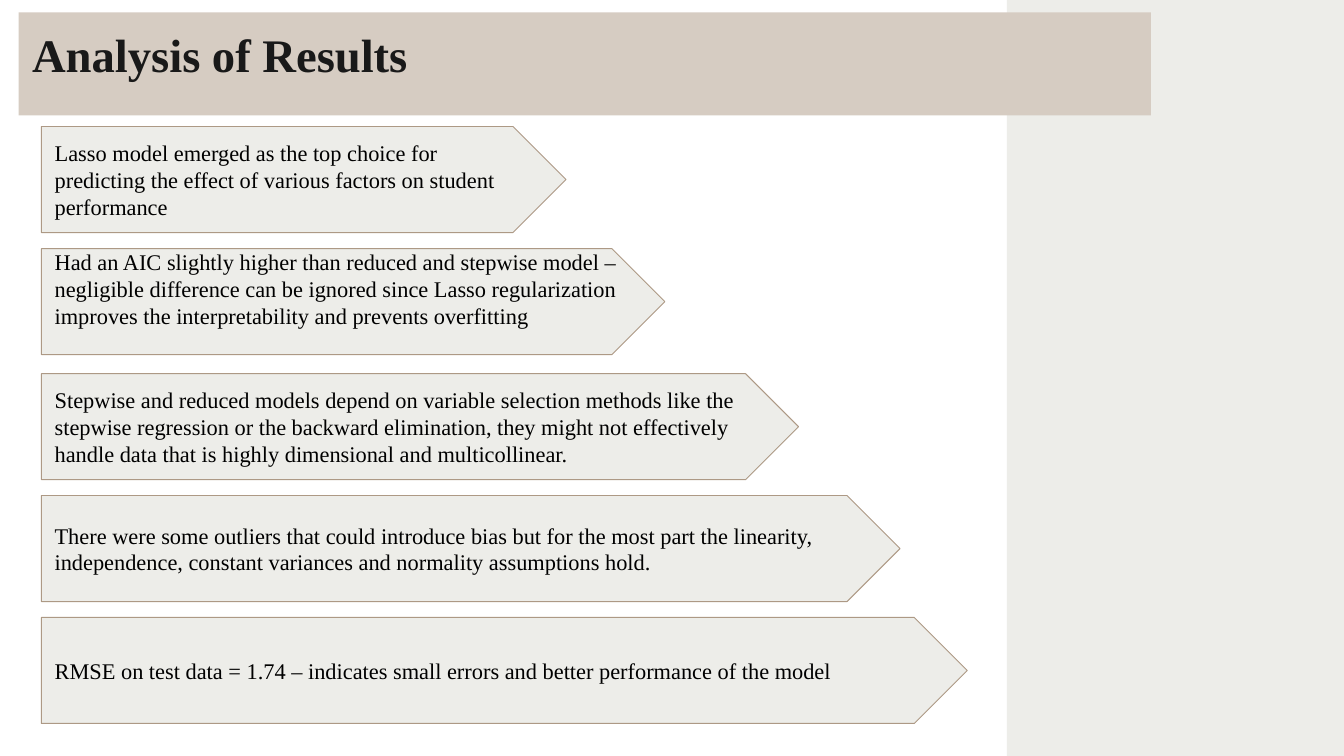
import pptx
import pptx.dml.color
import pptx.enum.shapes
import pptx.enum.text
import pptx.util

Pt = pptx.util.Pt
RGBColor = pptx.dml.color.RGBColor
MSO_SHAPE = pptx.enum.shapes.MSO_SHAPE
MSO_ANCHOR = pptx.enum.text.MSO_ANCHOR
PP_ALIGN = pptx.enum.text.PP_ALIGN

FONT = "Times New Roman"
SAGE = RGBColor(0xED, 0xED, 0xE9)
SAND = RGBColor(0xD6, 0xCC, 0xC2)
TAN = RGBColor(0xAD, 0x99, 0x85)
INK = RGBColor(0x19, 0x19, 0x19)
BLACK = RGBColor(0x00, 0x00, 0x00)

FINDINGS = [
    (0, 281, MSO_ANCHOR.MIDDLE,
     "Lasso model emerged as the top choice for predicting the effect of "
     "various factors on student performance"),
    (65.4, 334, MSO_ANCHOR.TOP,
     "Had an AIC slightly higher than reduced and stepwise model – negligible "
     "difference can be ignored since Lasso regularization improves the "
     "interpretability and prevents overfitting"),
    (132.4, 405.6, MSO_ANCHOR.MIDDLE,
     "Stepwise and reduced models depend on variable selection methods like "
     "the stepwise regression or the backward elimination, they might not "
     "effectively handle data that is highly dimensional and multicollinear."),
    (197.7, 460, MSO_ANCHOR.MIDDLE,
     "There were some outliers that could introduce bias but for the most part "
     "the linearity, independence, constant variances and normality "
     "assumptions hold."),
    (263, 496, MSO_ANCHOR.MIDDLE,
     "RMSE on test data = 1.74 – indicates small errors and better "
     "performance of the model"),
]


def add_run(p, text, size, color, bold=False):
    """Add a formatted run to a left-aligned paragraph."""
    p.alignment = PP_ALIGN.LEFT
    r = p.add_run()
    r.text = text
    r.font.name = FONT
    r.font.size = Pt(size)
    r.font.bold = bold
    r.font.color.rgb = color


def add_filled_shape(s, kind, left, top, width, height, fill):
    """Add a flat, borderless preset shape."""
    sp = s.shapes.add_shape(kind, Pt(left), Pt(top), Pt(width), Pt(height))
    sp.shadow.inherit = False
    sp.fill.solid()
    sp.fill.fore_color.rgb = fill
    sp.line.fill.background()
    return sp


def add_sidebar(s, left, top, width, height):
    """Place the side band behind the title."""
    sp = add_filled_shape(s, MSO_SHAPE.RECTANGLE, left, top, width, height, SAGE)
    s.shapes.title._element.addprevious(sp._element)


def add_title(s, left, top, width, height, text):
    """Place and format the title banner."""
    sp = s.shapes.title
    sp.left, sp.top, sp.width, sp.height = Pt(left), Pt(top), Pt(width), Pt(height)
    sp.fill.solid()
    sp.fill.fore_color.rgb = SAND
    tf = sp.text_frame
    tf.auto_size = pptx.enum.text.MSO_AUTO_SIZE.NONE
    tf.vertical_anchor = MSO_ANCHOR.TOP
    tf.margin_left = tf.margin_right = tf.margin_top = tf.margin_bottom = Pt(7.2)
    add_run(tf.paragraphs[0], text, 25, INK, bold=True)


def add_findings(s, left, top, arrow_height, findings):
    """Stack the finding arrows, each with its own offset and width."""
    for offset, width, anchor, text in findings:
        sp = add_filled_shape(s, MSO_SHAPE.PENTAGON, left, top + offset,
                              width, arrow_height, SAGE)
        sp.line.color.rgb = TAN
        sp.line.width = Pt(0.5)
        tf = sp.text_frame
        tf.word_wrap = True
        tf.vertical_anchor = anchor
        tf.margin_left = tf.margin_right = Pt(7.2)
        tf.margin_top = tf.margin_bottom = Pt(0)
        add_run(tf.paragraphs[0], text, 12, BLACK)


def main():
    """Build the slide and save it."""
    prs = pptx.Presentation()
    prs.slide_width, prs.slide_height = Pt(720), Pt(405)
    s = prs.slides.add_slide(prs.slide_layouts[5])
    add_sidebar(s, 539.5, 0, 180.5, 405)
    add_title(s, 10, 6.7, 606.6, 55.2, "Analysis of Results")
    add_findings(s, 22.2, 67.8, 56.8, FINDINGS)
    prs.save("out.pptx")


if __name__ == "__main__":
    main()
